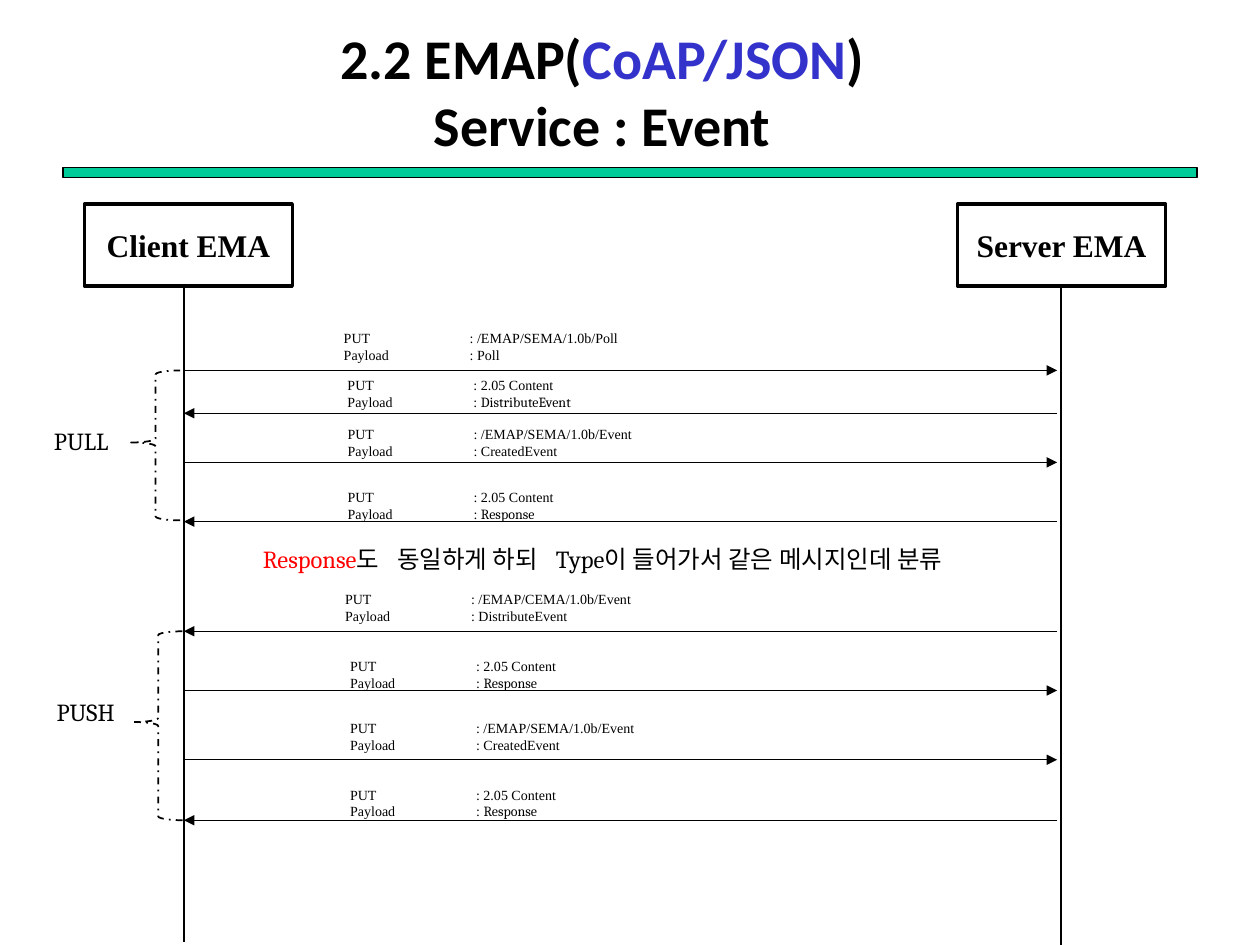
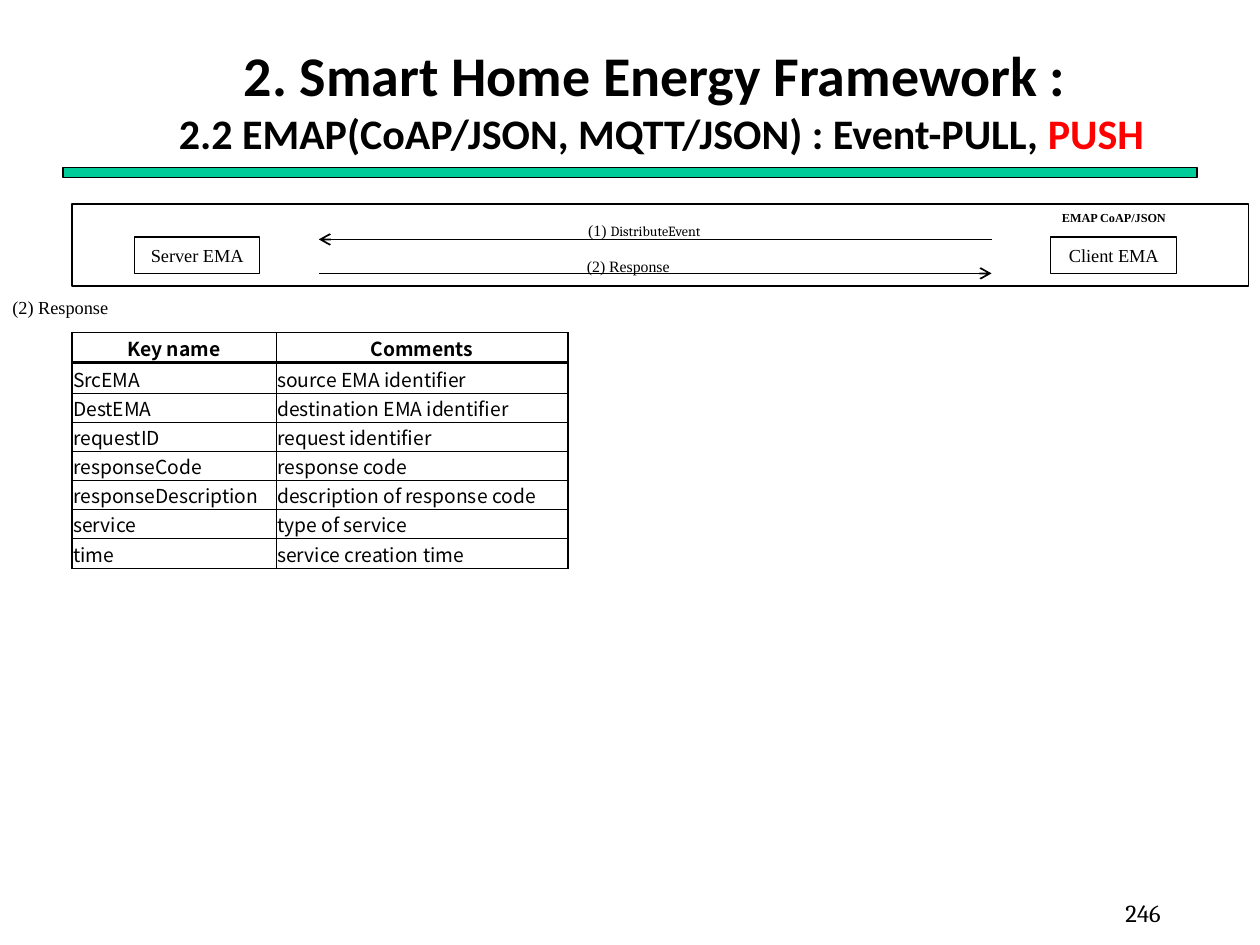
from lxml.etree import SubElement
from pptx import Presentation
from pptx.dml.color import RGBColor
from pptx.enum.dml import MSO_LINE
from pptx.enum.shapes import MSO_CONNECTOR, MSO_SHAPE
from pptx.enum.text import MSO_ANCHOR, MSO_AUTO_SIZE, PP_ALIGN
from pptx.oxml.ns import qn
from pptx.util import Emu, Pt

EMU_PER_PX = 9144  # 100 px to the inch
COLORS = {"black": "000000", "white": "FFFFFF", "band": "00CC99",
          "blue": "3333CC", "red": "FF0000"}
TITLE_FONT, SERIF, LABEL_FONT, TABLE_FONT = (
    "Calibri", "Times New Roman", "Cambria", "Noto Sans CJK KR")
TITLE_ONLY = 5


def px(length):
    return Emu(length * EMU_PER_PX)


def color(name):
    return RGBColor.from_string(COLORS[name])


def write_text(frame, *paragraphs, align=PP_ALIGN.LEFT, tab=None, **format):
    """Each paragraph is a string or a list of strings and (string, overrides) runs."""
    for index, runs in enumerate(paragraphs):
        paragraph = frame.paragraphs[0] if index == 0 else frame.add_paragraph()
        paragraph.alignment = align
        if tab:
            tabs = SubElement(paragraph._p.get_or_add_pPr(), qn("a:tabLst"))
            SubElement(tabs, qn("a:tab"), pos=str(px(tab)), algn="l")
        for item in [runs] if isinstance(runs, str) else runs:
            text, overrides = (item, {}) if isinstance(item, str) else item
            if text == "\n":
                paragraph.add_line_break()
                continue
            style = {"size": 14, "font": SERIF, "bold": False, "color": "black",
                     "spacing": 0, **format, **overrides}
            run = paragraph.add_run()
            run.text = text
            run.font.size = Pt(style["size"])
            run.font.name = style["font"]
            run.font.bold = style["bold"]
            run.font.color.rgb = color(style["color"])
            if style["spacing"]:
                run._r.get_or_add_rPr().set("spc", str(style["spacing"] * 100))


class Deck:
    def __init__(self):
        self.presentation = Presentation()
        self.presentation.slide_width = px(1000)
        self.presentation.slide_height = px(750)

    def new_slide(self, left, top, title_runs):
        layout = self.presentation.slide_layouts[TITLE_ONLY]
        self.slide = self.presentation.slides.add_slide(layout)
        self.shapes = self.slide.shapes
        self.shape(50, 133, 900, 8, fill="band")
        title = self.slide.shapes.title
        title.left, title.top, title.width, title.height = map(px, (left, top, 950, 92))
        title.text_frame.auto_size = MSO_AUTO_SIZE.NONE
        title.text_frame.vertical_anchor = MSO_ANCHOR.MIDDLE
        write_text(title.text_frame, title_runs, align=PP_ALIGN.CENTER,
                   size=32, font=TITLE_FONT, bold=True)

    def start_group(self):
        self.shapes = self.slide.shapes.add_group_shape().shapes

    def end_group(self):
        self.shapes = self.slide.shapes

    def shape(self, left, top, width, height, kind=MSO_SHAPE.RECTANGLE,
              fill=None, weight=0.75):
        shape = self.shapes.add_shape(kind, *map(px, (left, top, width, height)))
        shape.shadow.inherit = False
        if fill:
            shape.fill.solid()
            shape.fill.fore_color.rgb = color(fill)
        else:
            shape.fill.background()
        shape.line.color.rgb = color("black")
        shape.line.width = Pt(weight)
        return shape

    def labelled_box(self, left, top, width, height, label, fill=None, weight=0.75,
                     **format):
        frame = self.shape(left, top, width, height, fill=fill, weight=weight).text_frame
        frame.word_wrap = False
        frame.vertical_anchor = MSO_ANCHOR.MIDDLE
        write_text(frame, label, align=PP_ALIGN.CENTER, **format)

    def text(self, left, top, width, height, *paragraphs, wrap=False, **format):
        box = self.shapes.add_textbox(*map(px, (left, top, width, height)))
        box.text_frame.word_wrap = wrap
        box.text_frame.auto_size = MSO_AUTO_SIZE.SHAPE_TO_FIT_TEXT
        write_text(box.text_frame, *paragraphs, **format)

    def line(self, start_x, start_y, end_x, end_y, weight=0.75, arrowhead=None):
        line = self.shapes.add_connector(
            MSO_CONNECTOR.STRAIGHT, *map(px, (start_x, start_y, end_x, end_y)))
        line.line.color.rgb = color("black")
        line.line.width = Pt(weight)
        if arrowhead:
            SubElement(line.line._get_or_add_ln(), qn("a:tailEnd"), type=arrowhead)
        SubElement(line._element.spPr, qn("a:effectLst"))

    def brace(self, left, top, width, height):
        """A dash-dot brace whose tip points left."""
        brace = self.shape(left, top, width, height, MSO_SHAPE.RIGHT_BRACE, weight=1)
        brace.rotation = 180
        brace.adjustments[0], brace.adjustments[1] = 0.08, 0.52
        brace.line.dash_style = MSO_LINE.DASH_DOT

    def table(self, left, top, widths, heights, rows):
        table = self.shapes.add_table(
            len(rows), len(widths),
            *map(px, (left, top, sum(widths), sum(heights)))).table
        table.first_row = table.horz_banding = False
        for column, width in zip(table.columns, widths):
            column.width = px(width)
        for row, height in zip(table.rows, heights):
            row.height = px(height)
        for row_index, row in enumerate(rows):
            header = row_index == 0
            for column_index, text in enumerate(row):
                cell = table.cell(row_index, column_index)
                cell.margin_left = cell.margin_top = cell.margin_right = px(1)
                cell.margin_bottom = 0
                cell.vertical_anchor = MSO_ANCHOR.MIDDLE
                write_text(cell.text_frame, text, size=11, font=TABLE_FONT, bold=header,
                           align=PP_ALIGN.CENTER if header else PP_ALIGN.LEFT)
                self.borders(cell, {
                    "L": 1 if column_index == 0 else 0.5,
                    "R": 1 if column_index == len(widths) - 1 else 0.5,
                    "T": {0: 1, 1: 2}.get(row_index, 0.5),
                    "B": 2 if header else 0.5})
                cell.fill.background()

    def borders(self, cell, weights):
        properties = cell._tc.get_or_add_tcPr()
        for side, weight in weights.items():
            border = SubElement(properties, qn(f"a:ln{side}"), w=str(Pt(weight)))
            fill = SubElement(border, qn("a:solidFill"))
            SubElement(fill, qn("a:srgbClr"), val=COLORS["black"])


def event_sequence(deck):
    deck.new_slide(3, 26, ["2.2 EMAP(", ("CoAP/JSON", {"color": "blue"}), ")", "\n",
                           "Service : Event"])
    for left, name in ((67, "Client EMA"), (760, "Server EMA")):
        deck.labelled_box(left, 162, 165, 65, name, weight=2, size=18, bold=True)
    deck.line(146, 225, 146, 748)
    deck.line(842, 227, 842, 750)

    reply = "2.05 Content"
    # label left, top and width, target, payload, arrow height, goes to the server
    messages = [
        (263, 257, 240, "/EMAP/SEMA/1.0b/Poll", "Poll", 294, True),
        (266, 294, 203, reply, "DistributeEvent", 328, False),
        (266, 333, 248, "/EMAP/SEMA/1.0b/Event", "CreatedEvent", 367, True),
        (266, 383, 185, reply, "Response", 414, False),
        (264, 464, 248, "/EMAP/CEMA/1.0b/Event", "DistributeEvent", 501, False),
        (268, 517, 185, reply, "Response", 548, True),
        (268, 566, 248, "/EMAP/SEMA/1.0b/Event", "CreatedEvent", 603, True),
        (268, 619, 185, reply, "Response", 651, False),
    ]
    for left, top, width, target, payload, arrow_y, to_server in messages:
        payload_font = LABEL_FONT if target == reply else SERIF
        deck.text(left, top, width, 37, f"PUT \t: {target}",
                  ["Payload \t: ", (payload, {"font": payload_font})], size=8, tab=100)
        start_x, end_x = (146, 839) if to_server else (839, 146)
        deck.line(start_x, arrow_y, end_x, arrow_y, arrowhead="triangle")

    deck.brace(104, 294, 39, 119)
    deck.text(33, 333, 65, 34, "PULL", font=LABEL_FONT)
    deck.brace(106, 501, 39, 150)
    deck.text(35, 548, 68, 34, "PUSH", font=LABEL_FONT)
    wide_space = (" ", {"spacing": 7})
    deck.text(119, 427, 719, 34,
              [("Response", {"color": "red"}), "도", wide_space, "동일하게 하되",
               wide_space, "Type이 들어가서 같은 메시지인데 분류"],
              wrap=True, font=LABEL_FONT, align=PP_ALIGN.CENTER)


def push_response(deck):
    subtitle = {"size": 24}
    deck.new_slide(50, 33, [
        "2. Smart Home Energy Framework : ", "\n",
        ("2.2 EMAP(CoAP/JSON, MQTT/JSON) : Event-PULL, ", subtitle),
        ("PUSH", {**subtitle, "color": "red"})])
    deck.text(723, 708, 208, 42, "246", wrap=True, font=LABEL_FONT, align=PP_ALIGN.RIGHT)

    deck.start_group()
    deck.shape(57, 162, 934, 65, fill="white", weight=1)
    for left, width, name in ((834, 100, "Client EMA"), (107, 99, "Server EMA")):
        deck.labelled_box(left, 188, width, 29, name, fill="white", size=10.5)
    deck.line(787, 190, 253, 190, weight=1, arrowhead="arrow")
    deck.line(253, 217, 787, 217, weight=1, arrowhead="arrow")
    deck.text(456, 199, 86, 25, "(2) Response", size=9)
    deck.text(457, 170, 114, 25,
              ["(1) ", ("DistributeEvent", {"size": 8, "font": LABEL_FONT})], size=9)
    deck.text(833, 162, 160, 22, "EMAP CoAP/JSON", wrap=True, size=7, bold=True)
    deck.end_group()

    deck.text(0, 230, 98, 28, "(2) Response", size=10.5)
    deck.table(57, 264, [162, 232], [24, 24, 23, 23, 23, 23, 23, 24], [
        ("Key name", "Comments"),
        ("SrcEMA", "source EMA identifier"),
        ("DestEMA", "destination EMA identifier"),
        ("requestID", "request identifier"),
        ("responseCode", "response code"),
        ("responseDescription", "description of response code"),
        ("service", "type of service"),
        ("time", "service creation time"),
    ])


def main():
    deck = Deck()
    event_sequence(deck)
    push_response(deck)
    deck.presentation.save("out.pptx")


if __name__ == "__main__":
    main()
